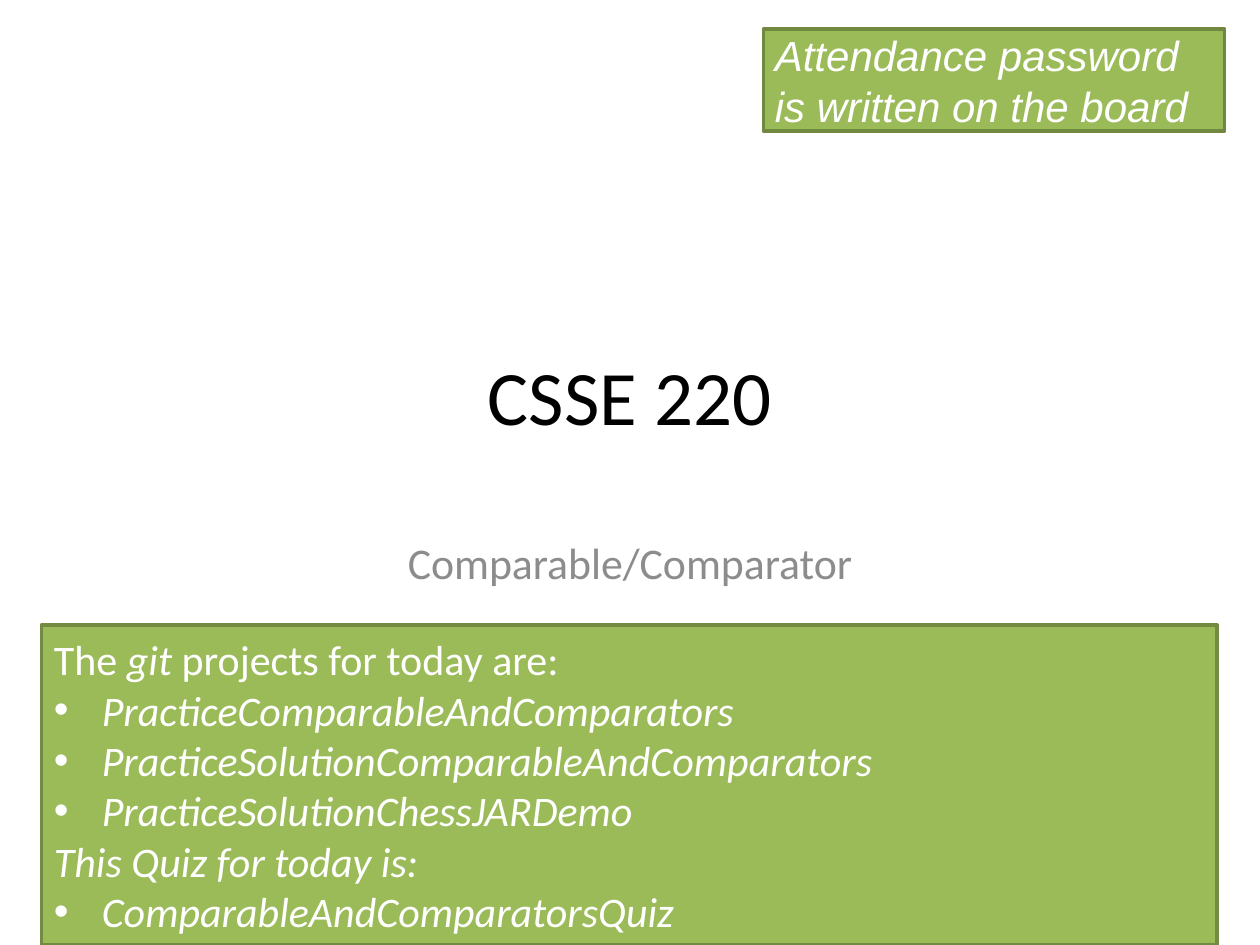
from lxml import etree
from pptx import Presentation
from pptx.dml.color import RGBColor
from pptx.enum import shapes, text
from pptx.oxml import ns
from pptx.util import Inches, Pt

GREEN, WHITE = "9BBB59", "FFFFFF"
INDENT = Inches(0.38)


def color(hex_value):
    return RGBColor.from_string(hex_value)


def set_bullet(paragraph):
    properties = paragraph._p.get_or_add_pPr()
    properties.set("marL", str(INDENT))
    properties.set("indent", str(-INDENT))
    font = etree.SubElement(properties, ns.qn("a:buFont"))
    font.set("typeface", "Arial")
    etree.SubElement(properties, ns.qn("a:buChar")).set("char", "•")


def add_run(paragraph, words, hex_value, **formats):
    run = paragraph.add_run()
    run.text = words
    run.font.color.rgb = color(hex_value)
    for name, value in formats.items():
        setattr(run.font, name, value)


def add_heading(slide, box, words, size, hex_value, anchor, spacing=1.0):
    frame = slide.shapes.add_textbox(*map(Inches, box)).text_frame
    frame.word_wrap = True
    frame.vertical_anchor = anchor
    paragraph = frame.paragraphs[0]
    paragraph.alignment = text.PP_ALIGN.CENTER
    paragraph.line_spacing = spacing
    add_run(paragraph, words, hex_value, name="Calibri", size=Pt(size))


def add_panel(slide, box, line, font, lines, margins=None):
    """Each line is (bulleted, [(words, italic), ...])."""
    panel = slide.shapes.add_shape(shapes.MSO_SHAPE.RECTANGLE, *map(Inches, box))
    panel.shadow.inherit = False
    panel.fill.solid()
    panel.fill.fore_color.rgb = color(GREEN)
    panel.line.color.rgb = color(line)
    panel.line.width = Pt(2)
    frame = panel.text_frame
    frame.word_wrap = True
    frame.vertical_anchor = text.MSO_ANCHOR.MIDDLE
    for side, inset in (margins or {}).items():
        setattr(frame, f"margin_{side}", Inches(inset))
    for index, (bulleted, runs) in enumerate(lines):
        paragraph = frame.add_paragraph() if index else frame.paragraphs[0]
        paragraph.alignment = text.PP_ALIGN.LEFT
        if bulleted:
            set_bullet(paragraph)
        for words, italic in runs:
            add_run(paragraph, words, WHITE, name=font, size=Pt(24), italic=italic)


def main():
    deck = Presentation()
    deck.slide_width, deck.slide_height = Inches(10), Inches(7.5)
    slide = deck.slides.add_slide(deck.slide_layouts[6])

    # Course title and topic
    add_heading(slide, (0.75, 2.33, 8.5, 1.61), "CSSE 220", 44, "000000",
                text.MSO_ANCHOR.MIDDLE)
    add_heading(slide, (1.5, 4.25, 7, 1.92), "Comparable/Comparator", 25,
                "8C8C8C", text.MSO_ANCHOR.TOP, 0.9)

    # Projects and quiz
    add_panel(slide, (0.33, 4.96, 9.33, 2.54), "738A42", "Calibri", [
        (False, [("The ", False), ("git", True), (" projects for today are:", False)]),
        (True, [("PracticeComparableAndComparators", True)]),
        (True, [("PracticeSolutionComparableAndComparators", True)]),
        (True, [("PracticeSolutionChessJARDemo", True)]),
        (False, [("This Quiz for today is:", True)]),
        (True, [("ComparableAndComparatorsQuiz", True)]),
    ])

    # Attendance note
    add_panel(slide, (6.06, 0.23, 3.66, 0.81), "718841", "Arial", [
        (False, [("Attendance password", True)]),
        (False, [("is written on the board", True)]),
    ], {"left": 0.09, "top": 0, "right": 0, "bottom": 0})

    deck.save("out.pptx")


if __name__ == "__main__":
    main()
